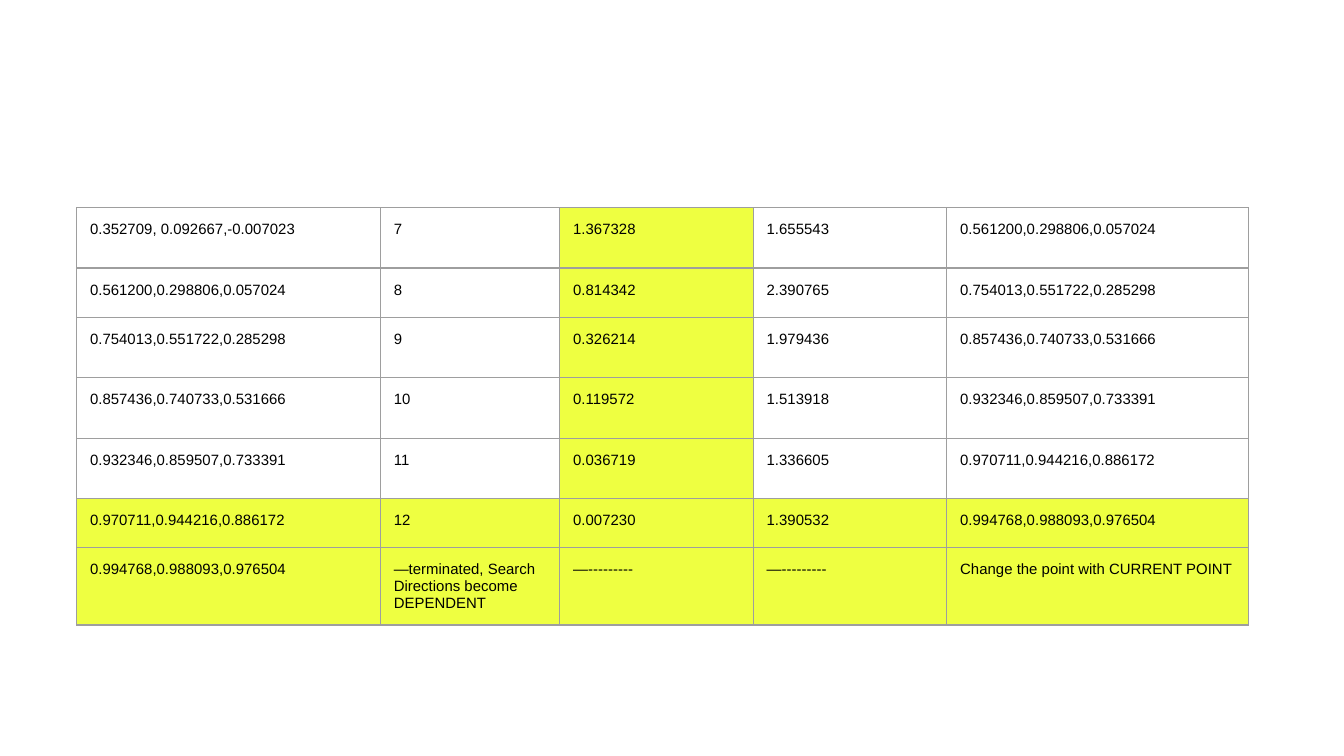
"""Build a slide with the last search steps of an iteration table."""
from itertools import pairwise

from lxml.etree import SubElement
from pptx import Presentation
from pptx.dml.color import RGBColor
from pptx.oxml.ns import qn
from pptx.util import Pt

PX = 4572
BLACK = RGBColor(0x00, 0x00, 0x00)
WHITE = RGBColor(0xFF, 0xFF, 0xFF)
YELLOW = RGBColor(0xEE, 0xFF, 0x41)
GREY = RGBColor(0x9E, 0x9E, 0x9E)

COLUMN_WIDTHS = [452, 267, 288, 288, 449]
ROW_HEIGHTS = [90, 73, 90, 90, 90, 73, 115]
MARGIN = 20
HIGHLIGHTED_COLUMN = 2
FIRST_HIGHLIGHTED_ROW = 5

POINTS = [
    "0.352709, 0.092667,-0.007023",
    "0.561200,0.298806,0.057024",
    "0.754013,0.551722,0.285298",
    "0.857436,0.740733,0.531666",
    "0.932346,0.859507,0.733391",
    "0.970711,0.944216,0.886172",
    "0.994768,0.988093,0.976504",
    "Change the point with CURRENT POINT",
]
STEPS = [
    ("7", "1.367328", "1.655543"),
    ("8", "0.814342", "2.390765"),
    ("9", "0.326214", "1.979436"),
    ("10", "0.119572", "1.513918"),
    ("11", "0.036719", "1.336605"),
    ("12", "0.007230", "1.390532"),
    ("—terminated, Search Directions become DEPENDENT", "—---------", "—---------"),
]


def add_borders(cell):
    """Draw a thin grey line on all four sides of a cell."""
    properties = cell._tc.get_or_add_tcPr()
    for side in ("a:lnL", "a:lnR", "a:lnT", "a:lnB"):
        line = SubElement(properties, qn(side), w=str(Pt(0.75)))
        fill = SubElement(line, qn("a:solidFill"))
        SubElement(fill, qn("a:srgbClr"), val=str(GREY))


def fill_cell(cell, text, color):
    """Write and format one cell."""
    cell.margin_left = cell.margin_right = MARGIN * PX
    cell.margin_top = cell.margin_bottom = MARGIN * PX
    add_borders(cell)
    cell.fill.solid()
    cell.fill.fore_color.rgb = color
    run = cell.text_frame.paragraphs[0].add_run()
    run.text = text
    run.font.name = "Arial"
    run.font.size = Pt(8)
    run.font.color.rgb = BLACK


def add_step_table(slide, left, top):
    """Add the table, where each row ends with the next row's start point."""
    table = slide.shapes.add_table(
        len(ROW_HEIGHTS), len(COLUMN_WIDTHS), left * PX, top * PX,
        sum(COLUMN_WIDTHS) * PX, sum(ROW_HEIGHTS) * PX).table
    table.first_row = table.horz_banding = False
    for column, width in zip(table.columns, COLUMN_WIDTHS):
        column.width = width * PX
    for row, height in zip(table.rows, ROW_HEIGHTS):
        row.height = height * PX
    for r, ((start, end), step) in enumerate(zip(pairwise(POINTS), STEPS)):
        for c, text in enumerate((start, *step, end)):
            highlighted = c == HIGHLIGHTED_COLUMN or r >= FIRST_HIGHLIGHTED_ROW
            fill_cell(table.cell(r, c), text, YELLOW if highlighted else WHITE)


def main():
    """Build and save the presentation."""
    deck = Presentation()
    deck.slide_width, deck.slide_height = 2000 * PX, 1125 * PX
    slide = deck.slides.add_slide(deck.slide_layouts[6])
    add_step_table(slide, 114, 309)
    deck.save("out.pptx")


if __name__ == "__main__":
    main()
